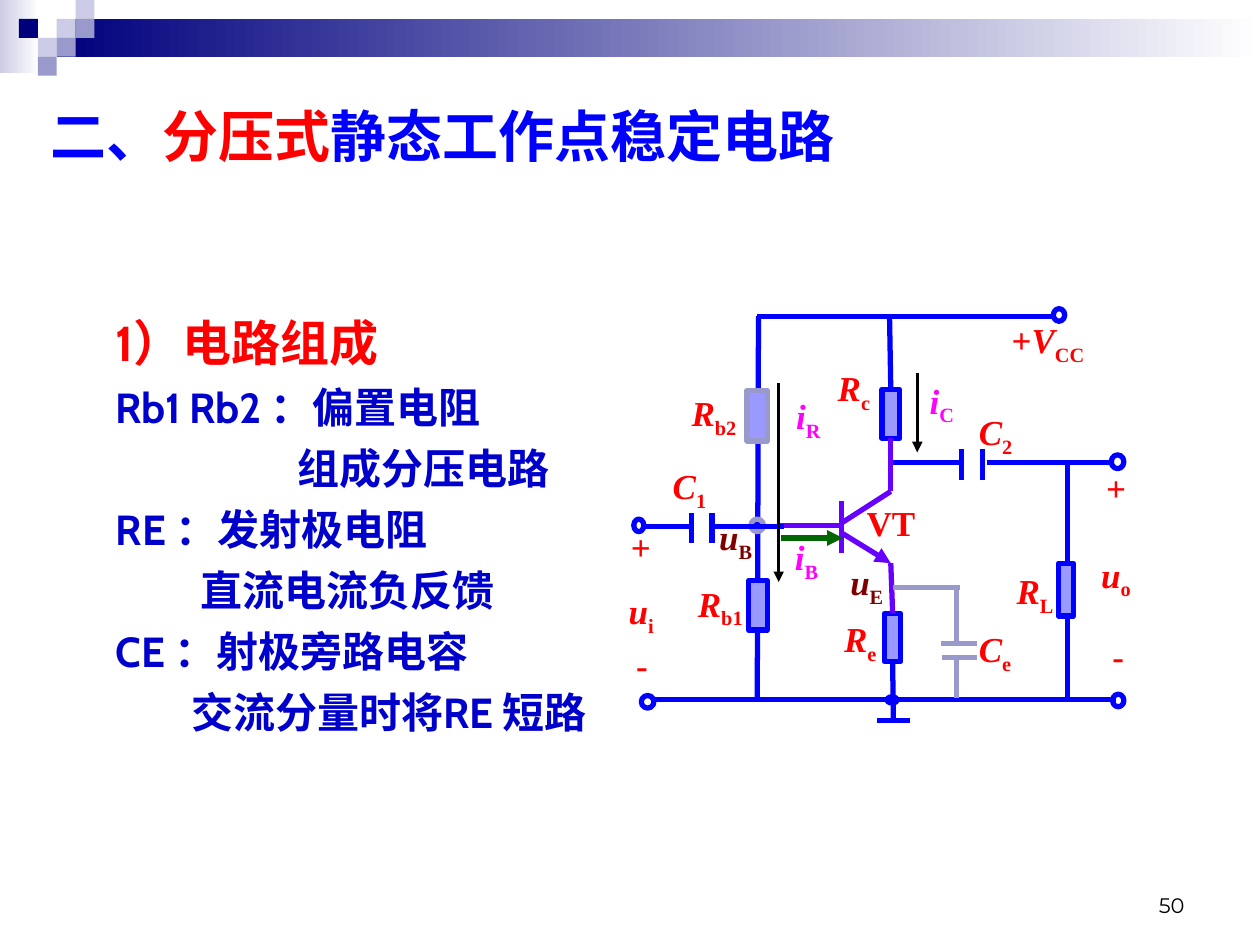
from dataclasses import dataclass, field

from lxml import etree
from pptx import Presentation
from pptx.dml.color import RGBColor
from pptx.enum.shapes import MSO_CONNECTOR, MSO_SHAPE
from pptx.enum.text import MSO_ANCHOR, MSO_AUTO_SIZE, PP_ALIGN
from pptx.oxml.ns import qn
from pptx.util import Cm, Pt

STRAIGHT = MSO_CONNECTOR.STRAIGHT
RECT, OVAL = MSO_SHAPE.RECTANGLE, MSO_SHAPE.OVAL
TOP, BOTTOM = MSO_ANCHOR.TOP, MSO_ANCHOR.BOTTOM
LEFT, RIGHT = PP_ALIGN.LEFT, PP_ALIGN.RIGHT
FIT, FIXED = MSO_AUTO_SIZE.SHAPE_TO_FIT_TEXT, MSO_AUTO_SIZE.NONE
SITE_TOP, SITE_BOTTOM = 0, 2


@dataclass(frozen=True)
class Theme:
    unit: float = 2.54
    navy: str = "00007D"
    lilac: str = "CCCCE6"
    mauve: str = "9999CC"
    white: str = "FFFFFF"
    black: str = "000000"
    blue: str = "0000FF"
    body: str = "0000CC"
    red: str = "FF0000"
    violet: str = "6600FF"
    green: str = "006600"
    maroon: str = "800000"
    magenta: str = "FF00FF"
    resistor: str = "9999FF"
    serif: str = "Times New Roman"
    sans: str = "Cabin"
    number: str = "Montserrat"
    title_size: int = 32
    heading_size: int = 28
    body_size: int = 24
    label_size: int = 20
    number_size: int = 12
    wire: int = 3
    arrow: int = 2


T = Theme()


@dataclass(frozen=True)
class Box:
    left: float
    top: float
    width: float
    height: float

    def lengths(self) -> list[Cm]:
        return [grid(v) for v in (self.left, self.top, self.width, self.height)]


@dataclass(frozen=True)
class Wire:
    x1: float
    y1: float
    x2: float
    y2: float
    color: str = T.blue
    width: int = T.wire
    arrow: bool = False
    begin: tuple = ()
    end: tuple = ()


@dataclass(frozen=True)
class Label:
    left: float
    top: float
    width: float
    symbol: str = ""
    sub: str = ""
    upright: str = ""
    color: str = T.red


@dataclass(frozen=True)
class Line:
    text: str
    first_indent: float = 0
    fmt: dict = field(default_factory=dict)


def grid(v: float) -> Cm:
    return Cm(v * T.unit)


def rgb(color: str) -> RGBColor:
    return RGBColor.from_string(color)


def add_shape(s, kind, box: Box, fill=None, line=None, gradient=None):
    sp = s.shapes.add_shape(kind, *box.lengths())
    sp.shadow.inherit = False
    if gradient:
        sp.fill.gradient()
        sp.fill.gradient_angle = 0
        for stop, color in zip(sp.fill.gradient_stops, gradient):
            stop.color.rgb = rgb(color)
    elif fill:
        sp.fill.solid()
        sp.fill.fore_color.rgb = rgb(fill)
    else:
        sp.fill.background()
    if line:
        sp.line.color.rgb = rgb(line)
        sp.line.width = Pt(T.wire)
    else:
        sp.line.fill.background()
    return sp


def add_wire(s, w: Wire, parts: dict) -> None:
    c = s.shapes.add_connector(STRAIGHT, *[grid(v) for v in (w.x1, w.y1, w.x2, w.y2)])
    c.line.color.rgb = rgb(w.color)
    c.line.width = Pt(w.width)
    if w.arrow:
        etree.SubElement(c.line._get_or_add_ln(), qn("a:tailEnd"), type="triangle")
    etree.SubElement(c._element.spPr, qn("a:effectLst"))
    if w.begin:
        c.begin_connect(parts[w.begin[0]], w.begin[1])
    if w.end:
        c.end_connect(parts[w.end[0]], w.end[1])


def add_frame(s, box: Box, anchor=TOP, fit=FIT):
    tf = s.shapes.add_textbox(*box.lengths()).text_frame
    tf.word_wrap = True
    tf.vertical_anchor = anchor
    tf.auto_size = fit
    return tf


def add_run(p, text: str, *, size: int = T.label_size, font: str = T.serif, color: str = T.red,
            bold: bool = True, italic: bool = False, sub: bool = False) -> None:
    r = p.add_run()
    r.text = text
    r.font.size, r.font.name = Pt(size), font
    r.font.bold, r.font.italic = bold, italic
    r.font.color.rgb = rgb(color)
    if sub:
        r._r.get_or_add_rPr().set("baseline", "-25000")


def add_label(s, b: Label) -> None:
    p = add_frame(s, Box(b.left, b.top, b.width, 0.48 if b.sub else 0.44)).paragraphs[0]
    for text, fmt in ((b.upright, {}), (b.symbol, {"italic": True}), (b.sub, {"sub": True})):
        if text:
            add_run(p, text, color=b.color, **fmt)


def add_banner(s) -> None:
    add_shape(s, RECT, Box(0, 0, 0.31, 0.58), gradient=(T.lilac, T.white))
    add_shape(s, RECT, Box(0.45, 0.15, 9.55, 0.3), gradient=(T.navy, T.white))
    tile = 0.15
    for col, row, color in ((3, 1, T.lilac), (4, 0, T.lilac), (4, 1, T.mauve), (2, 2, T.lilac),
                            (1, 1, T.navy), (3, 2, T.mauve), (2, 3, T.mauve)):
        add_shape(s, RECT, Box(col * tile, row * tile, tile, tile), fill=color)


def add_texts(s) -> None:
    p = add_frame(s, Box(7.17, 6.83, 2.33, 0.5), BOTTOM, FIXED).paragraphs[0]
    p.alignment = RIGHT
    add_run(p, "50", size=T.number_size, font=T.number, color=T.black, bold=False)
    p = add_frame(s, Box(0.3, 0.76, 8.46, 0.64)).paragraphs[0]
    for text, color in (("二、", T.blue), ("分压式", T.red), ("静态工作点稳定电路", T.blue)):
        add_run(p, text, size=T.title_size, color=color)
    tf = add_frame(s, Box(0.43, 2.43, 4.41, 3.47))
    for i, line in enumerate(BODY):
        p = tf.add_paragraph() if i else tf.paragraphs[0]
        p.alignment = LEFT
        if i:
            p.space_before = Pt(6)
        pPr = p._p.get_or_add_pPr()
        pPr.set("marL", str(grid(0.39)))
        pPr.set("indent", str(grid(line.first_indent)))
        add_run(p, line.text, **{"size": T.body_size, "font": T.sans, "color": T.body, **line.fmt})


BODY = [
    Line("1）电路组成", fmt={"size": T.heading_size, "color": T.red}),
    Line("Rb1 Rb2 ：偏置电阻"), Line("组成分压电路", 1.44),
    Line("RE ：发射极电阻"), Line("直流电流负反馈", 0.67),
    Line("CE ：射极旁路电容"), Line("交流分量时将RE 短路", 0.6),
]
RAILS = [
    Wire(6.02, 2.51, 6.01, 5.56), Wire(6.01, 2.51, 8.37, 2.51), Wire(5.17, 5.55, 8.86, 5.55),
    Wire(8.47, 5.55, 8.47, 3.68), Wire(6.96, 5.72, 7.22, 5.72),
]
RESISTORS = {
    "Rb2": (Box(5.93, 3.1, 0.16, 0.4), T.mauve), "Rb1": (Box(5.94, 4.61, 0.15, 0.39), T.blue),
    "Rc": (Box(7, 3.09, 0.14, 0.39), T.blue), "Re": (Box(7.02, 4.87, 0.13, 0.38), T.blue),
    "RL": (Box(8.4, 4.47, 0.12, 0.42), T.blue),
}
NODES = [
    (Box(8.36, 2.45, 0.09, 0.1), None, T.blue), (Box(5.09, 5.52, 0.1, 0.1), None, T.blue),
    (Box(8.83, 5.51, 0.09, 0.1), None, T.blue), (Box(8.82, 3.61, 0.1, 0.11), None, T.blue),
    (Box(5.03, 4.12, 0.08, 0.1), None, T.blue), (Box(7.04, 5.53, 0.08, 0.05), T.mauve, T.blue),
    (Box(5.96, 4.12, 0.1, 0.1), T.blue, T.mauve),
]
WIRES = [
    Wire(7.09, 5.25, 7.09, 5.71, begin=("Re", SITE_BOTTOM)),
    Wire(7.06, 3.09, 7.06, 2.51, begin=("Rc", SITE_TOP)),
    Wire(7.07, 4.47, 7.07, 4.88, T.violet, end=("Re", SITE_TOP)),
    Wire(7.07, 3.9, 7.07, 3.49, T.violet, end=("Rc", SITE_BOTTOM)),
    Wire(6.68, 3.98, 6.68, 4.39, T.violet), Wire(6.68, 4.15, 7.07, 3.9, T.violet),
    Wire(6.68, 4.23, 7.07, 4.47, T.violet, arrow=True), Wire(6.68, 4.17, 6.19, 4.17, T.violet),
    Wire(7.09, 3.67, 7.61, 3.67), Wire(7.83, 3.67, 8.83, 3.67),
    Wire(7.63, 3.56, 7.63, 3.81), Wire(7.8, 3.56, 7.8, 3.81),
    Wire(5.67, 4.18, 6.22, 4.18), Wire(5.47, 4.18, 5.12, 4.18),
    Wire(5.49, 4.07, 5.49, 4.31), Wire(5.65, 4.07, 5.65, 4.31),
    Wire(7.09, 4.66, 7.62, 4.66, T.mauve), Wire(7.59, 4.66, 7.59, 5.1, T.mauve),
    Wire(7.47, 5.11, 7.75, 5.11, T.mauve), Wire(7.48, 5.22, 7.75, 5.22, T.mauve),
    Wire(7.59, 5.23, 7.59, 5.54, T.mauve), Wire(6.2, 4.27, 6.69, 4.27, T.green, arrow=True),
    Wire(6.18, 3.04, 6.18, 4.62, T.black, T.arrow, True),
    Wire(7.28, 2.96, 7.28, 3.59, T.black, T.arrow, True),
]
LABELS = [
    Label(7.97, 4.47, 0.6, "R", "L"), Label(7.67, 3.21, 0.55, "C", "2"),
    Label(5.44, 4.57, 0.8, "R", "b1"), Label(5.39, 3.06, 0.8, "R", "b2"),
    Label(6.55, 2.86, 0.58, "R", "c"), Label(6.6, 4.85, 0.61, "R", "e"),
    Label(7.67, 4.93, 0.61, "C", "e"), Label(5.24, 3.64, 0.59, "C", "1"),
    Label(4.89, 4.63, 0.42, "u", "i"), Label(8.64, 4.34, 0.49, "u", "o"),
    Label(7.93, 2.48, 0.84, "V", "CC", "+"), Label(6.78, 3.93, 1.08, upright="VT"),
    Label(4.91, 4.12, 0.4, upright="+"), Label(4.95, 5.06, 0.36, upright="-"),
    Label(8.68, 3.65, 0.47, upright="+"), Label(8.73, 4.99, 0.45, upright="-"),
    Label(5.61, 4.04, 0.54, "u", "B", color=T.maroon),
    Label(6.65, 4.4, 0.54, "u", "E", color=T.maroon),
    Label(6.22, 3.08, 0.47, "i", "R", color=T.magenta),
    Label(6.21, 4.2, 0.4, "i", "B", color=T.magenta),
    Label(7.28, 2.96, 0.51, "i", "C", color=T.magenta),
]


def add_circuit(s) -> None:
    for w in RAILS:
        add_wire(s, w, {})
    parts = {name: add_shape(s, RECT, box, T.resistor, line)
             for name, (box, line) in RESISTORS.items()}
    for box, fill, line in NODES:
        add_shape(s, OVAL, box, fill, line)
    for w in WIRES:
        add_wire(s, w, parts)
    for b in LABELS:
        add_label(s, b)


def main() -> None:
    prs = Presentation()
    prs.slide_width, prs.slide_height = grid(10), grid(7.5)
    s = prs.slides.add_slide(prs.slide_layouts[6])
    add_banner(s)
    add_texts(s)
    add_circuit(s)
    prs.save("out.pptx")


if __name__ == "__main__":
    main()
